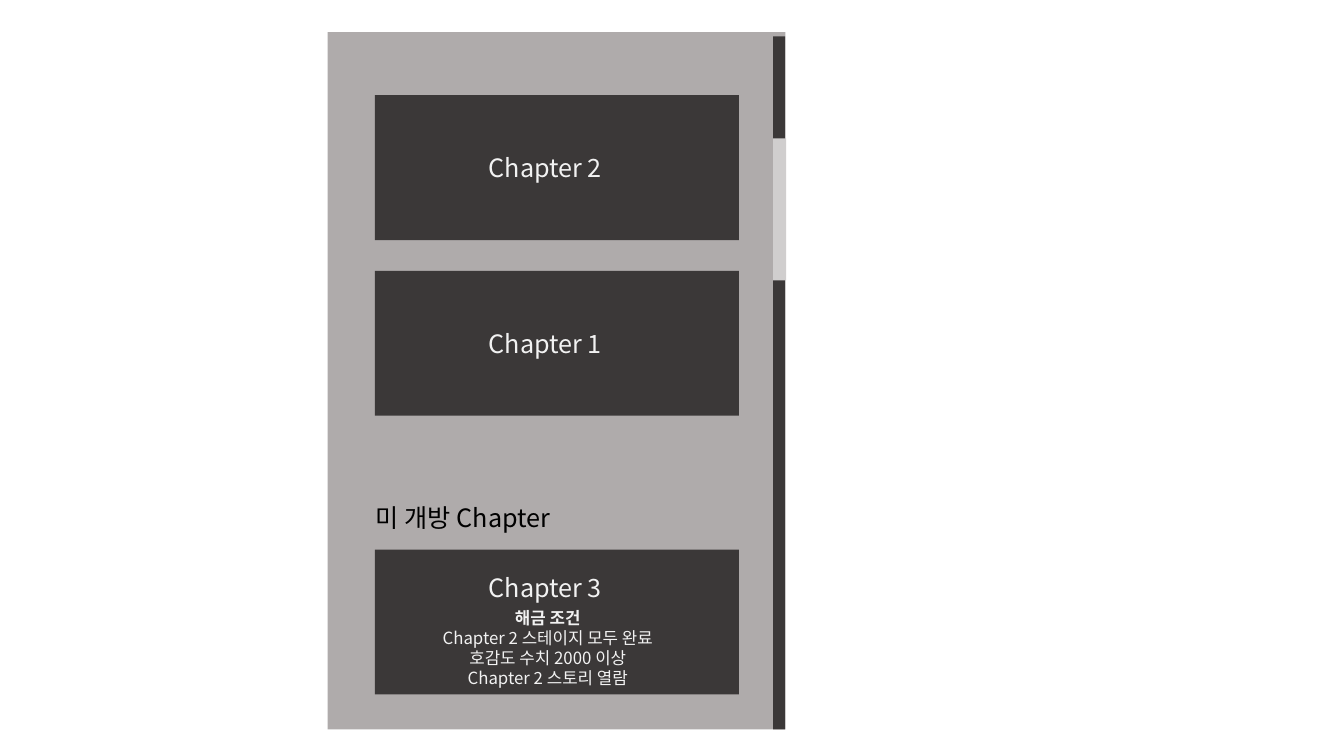
"""Build the chapter selection screen slide."""
from lxml import etree
from pptx import Presentation
from pptx.dml.color import RGBColor
from pptx.enum.shapes import MSO_SHAPE as SHAPE
from pptx.enum.text import MSO_AUTO_SIZE as AUTO, PP_ALIGN as ALIGN
from pptx.oxml.ns import qn
from pptx.util import Pt

FONT = "Noto Sans CJK KR"
COLORS = {"panel": "AFABAB", "dark": "3B3838", "thumb": "D0CECE",
          "black": "000000", "light": "F2F2F2"}


def add_box(s, x, y, w, h, color):
    sp = s.shapes.add_shape(SHAPE.RECTANGLE, Pt(x), Pt(y), Pt(w), Pt(h))
    sp.shadow.inherit = False
    sp.fill.solid()
    sp.fill.fore_color.rgb = RGBColor.from_string(COLORS[color])
    sp.line.fill.background()


def add_text(s, x, y, w, h, lines, size, color, align=ALIGN.LEFT):
    tf = s.shapes.add_textbox(Pt(x), Pt(y), Pt(w), Pt(h)).text_frame
    tf.word_wrap = True
    tf.auto_size = AUTO.SHAPE_TO_FIT_TEXT
    p = tf.paragraphs[0]
    p.alignment = align
    for i, (text, bold) in enumerate(lines):
        if i:
            p.add_line_break()
        r = p.add_run()
        r.text = text
        r.font.size = Pt(size)
        r.font.bold = bold
        r.font.name = FONT
        r.font.color.rgb = RGBColor.from_string(COLORS[color])
        etree.SubElement(r.font._element, qn("a:ea"), typeface=FONT)


prs = Presentation()
prs.slide_width, prs.slide_height = Pt(960), Pt(540)
s = prs.slides.add_slide(prs.slide_layouts[6])

add_box(s, 234, 23, 327, 498, "panel")
for card_top in (193.5, 68, 392.5):
    add_box(s, 267.8, card_top, 260, 103.5, "dark")
add_box(s, 552.3, 26, 8.5, 495, "dark")
add_box(s, 552.3, 98.8, 9.2, 101.5, "thumb")

add_text(s, 261.4, 355, 189.4, 29, [("미 개방 Chapter", False)], 18, "black")
for number, top in ((1, 231), (2, 105), (3, 405.5)):
    add_text(s, 342, top, 189.4, 29, [(f"Chapter {number}", False)], 18, "light")

conditions = [("해금 조건", True), ("Chapter 2 스테이지 모두 완료", False),
              ("호감도 수치 2000 이상", False), ("Chapter 2 스토리 열람", False)]
add_text(s, 300.2, 430.5, 182.2, 65.5, conditions, 12, "light", ALIGN.CENTER)

prs.save("out.pptx")
